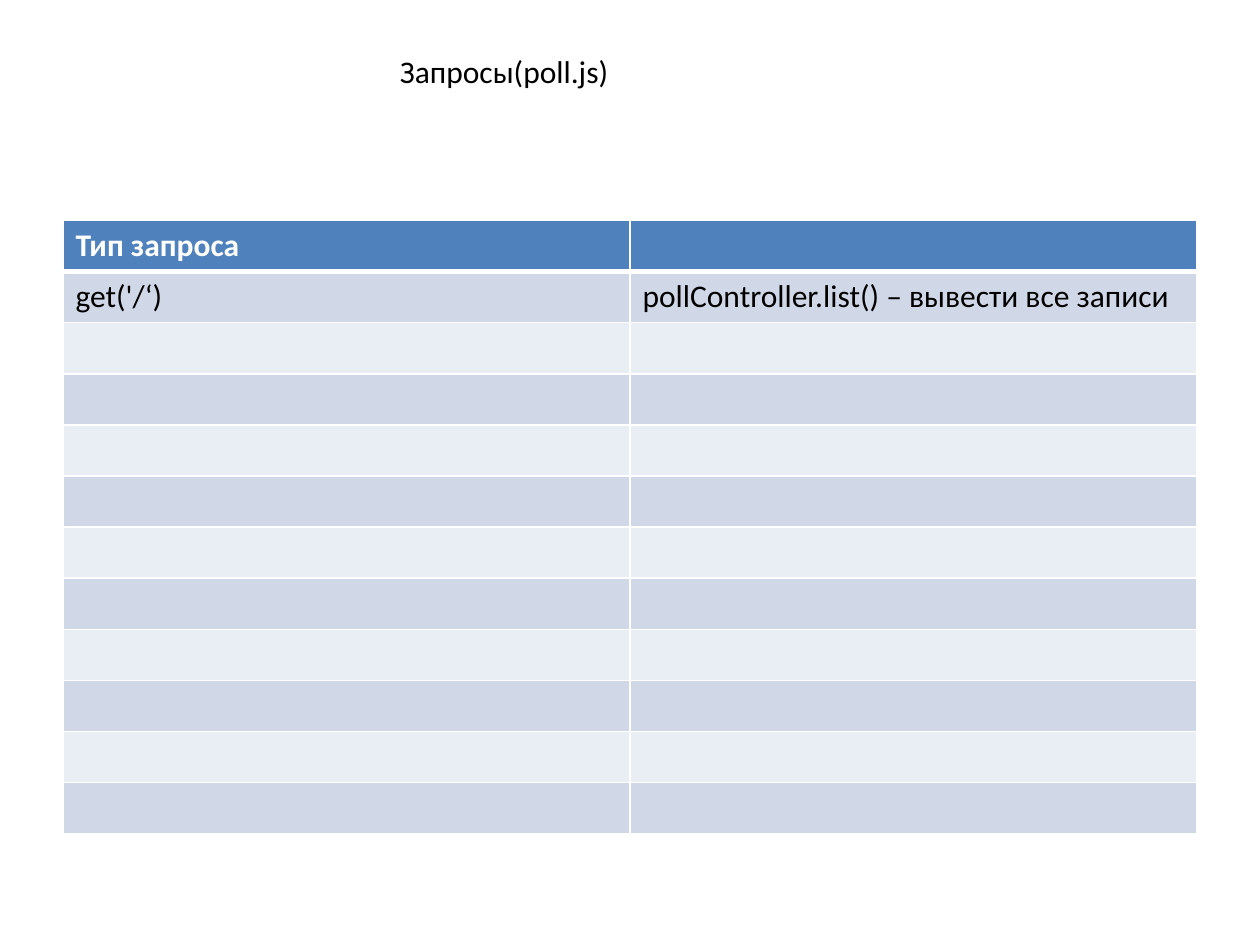
from lxml import etree
from pptx import Presentation
from pptx.dml.color import RGBColor
from pptx.enum import text as t
from pptx.oxml import ns
from pptx.util import Inches, Pt

BLACK = RGBColor(0, 0, 0)
WHITE = RGBColor(255, 255, 255)
BLUE = RGBColor(0x4F, 0x81, 0xBD)
BANDS = [RGBColor(0xE9, 0xED, 0xF4), RGBColor(0xD0, 0xD8, 0xE8)]
ROWS = 12
TEXTS = [
    ["Тип запроса", ""],
    ["get('/‘)", "pollController.list() – вывести все записи"],
]


def style(font, color, bold=False):
    font.name = "Calibri"
    font.size = Pt(18)
    font.bold = bold
    font.color.rgb = color


def border(cell, side, width):
    props = cell._tc.get_or_add_tcPr()
    line = etree.SubElement(props, ns.qn("a:ln" + side), w=str(Pt(width)))
    fill = etree.SubElement(line, ns.qn("a:solidFill"))
    etree.SubElement(fill, ns.qn("a:srgbClr"), val=str(WHITE))


def title(slide, left, top, width, height):
    box = slide.shapes.add_textbox(left, top, width, height)
    frame = box.text_frame
    frame.word_wrap = True
    frame.auto_size = t.MSO_AUTO_SIZE.NONE
    frame.text = "\t Запросы(poll.js)"
    for run in frame.paragraphs[0].runs:
        style(run.font, BLACK)


def table(slide, left, top, width, height):
    grid = slide.shapes.add_table(ROWS, 2, left, top, width, height).table
    for r, row in enumerate(grid.rows):
        head = r == 0
        for c, cell in enumerate(row.cells):
            # Thick rule between header and body
            for side in "LRTB":
                thick = (head and side == "B") or (r == 1 and side == "T")
                border(cell, side, 3 if thick else 1)
            cell.fill.solid()
            cell.fill.fore_color.rgb = BLUE if head else BANDS[r % 2]
            para = cell.text_frame.paragraphs[0]
            para.font.size = Pt(18)
            if r < len(TEXTS) and TEXTS[r][c]:
                para.text = TEXTS[r][c]
                style(para.runs[0].font, WHITE if head else BLACK, head)


deck = Presentation()
deck.slide_width, deck.slide_height = Inches(10), Inches(7.5)
page = deck.slides.add_slide(deck.slide_layouts[6])

# Heading and request table
title(page, Inches(2.52), Inches(0.36), Inches(5), Inches(0.71))
table(page, Inches(0.5), Inches(1.75), Inches(9), Inches(4.87))
deck.save("out.pptx")
